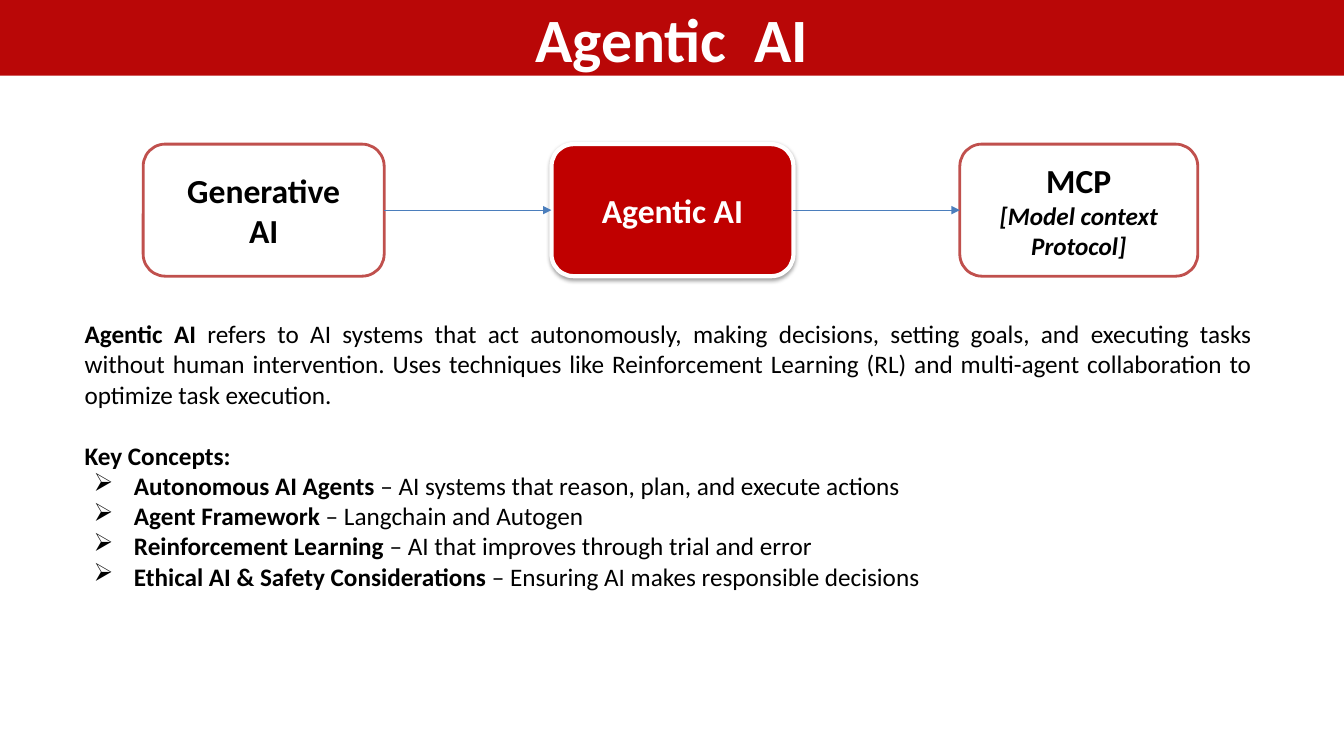
"""Build a slide that introduces Agentic AI with a three-step flow and key concepts."""
from dataclasses import dataclass

from lxml import etree
from pptx import Presentation
from pptx.dml.color import RGBColor
from pptx.enum.shapes import MSO_CONNECTOR, MSO_SHAPE
from pptx.enum.text import MSO_ANCHOR, PP_ALIGN
from pptx.oxml.ns import qn
from pptx.util import Inches, Pt

RECT, ROUND_RECT = MSO_SHAPE.RECTANGLE, MSO_SHAPE.ROUNDED_RECTANGLE
STRAIGHT = MSO_CONNECTOR.STRAIGHT
CENTER, JUSTIFY = PP_ALIGN.CENTER, PP_ALIGN.JUSTIFY
MIDDLE = MSO_ANCHOR.MIDDLE

BANNER_RED = RGBColor(0xB9, 0x07, 0x07)
BOX_RED = RGBColor(0xC0, 0x00, 0x00)
OUTLINE_RED = RGBColor(0xC0, 0x50, 0x4D)
ARROW_BLUE = RGBColor(0x4B, 0x7E, 0xBC)
WHITE = RGBColor(0xFF, 0xFF, 0xFF)
BLACK = RGBColor(0x00, 0x00, 0x00)

FONT = "Calibri"
RIGHT_SIDE, LEFT_SIDE = 3, 1
BOX_LEFT, BOX_TOP, BOX_PITCH, BOX_HEIGHT = 1.42, 1.43, 4.05, 1.31


@dataclass
class Step:
    lines: list[str]
    width: float
    note: str = ""
    active: bool = False


@dataclass
class Concept:
    name: str
    detail: str


STEPS = [
    Step(["Generative", "AI"], 2.39),
    Step(["Agentic AI"], 2.4, active=True),
    Step(["MCP"], 2.36, note="[Model context Protocol]"),
]

CONCEPTS = [
    Concept("Autonomous AI Agents", " – AI systems that reason, plan, and execute actions"),
    Concept("Agent Framework", " – Langchain and Autogen"),
    Concept("Reinforcement Learning", " – AI that improves through trial and error"),
    Concept("Ethical AI & Safety Considerations", " – Ensuring AI makes responsible decisions"),
]

DEFINITION = (
    " refers to AI systems that act autonomously, making decisions, setting goals, "
    "and executing tasks without human intervention. Uses techniques like "
    "Reinforcement Learning (RL) and multi-agent collaboration to optimize task execution."
)


def add_paragraph(tf, align):
    """Return the unused first paragraph or a new one, aligned."""
    first = tf.paragraphs[0]
    p = tf.add_paragraph() if first.runs else first
    p.alignment = align
    return p


def add_text(p, text: str, *, size: float = 18, color: RGBColor = BLACK,
             bold: bool = False, italic: bool = False) -> None:
    """Add a formatted run to a paragraph."""
    r = p.add_run()
    r.text = text
    r.font.name = FONT
    r.font.size = Pt(size)
    r.font.color.rgb = color
    r.font.bold = bold
    r.font.italic = italic


def add_bullet(p) -> None:
    """Give a paragraph an arrow bullet with a hanging indent."""
    pPr = p._p.get_or_add_pPr()
    pPr.set("marL", str(Inches(0.49)))
    pPr.set("indent", str(Inches(-0.4)))
    etree.SubElement(pPr, qn("a:buChar"), char="➢")


def add_shadow(sp) -> None:
    """Put a soft shadow below a shape."""
    effects = sp._element.spPr.find(qn("a:effectLst"))
    shadow = etree.SubElement(effects, qn("a:outerShdw"), blurRad=str(Pt(3.1)),
                              dist=str(Pt(1.6)), dir="5400000", rotWithShape="0")
    color = etree.SubElement(shadow, qn("a:srgbClr"), val=str(BLACK))
    etree.SubElement(color, qn("a:alpha"), val="38000")


def add_banner(s, width: int) -> None:
    """Draw the title banner."""
    sp = s.shapes.add_shape(RECT, 0, 0, width, Inches(0.75))
    sp.shadow.inherit = False
    sp.fill.solid()
    sp.fill.fore_color.rgb = BANNER_RED
    sp.line.fill.background()
    tf = sp.text_frame
    tf.vertical_anchor = MIDDLE
    add_text(add_paragraph(tf, CENTER), "Agentic  AI", size=44, color=WHITE, bold=True)


def add_step(s, step: Step, left: float):
    """Draw one step box and return it."""
    sp = s.shapes.add_shape(ROUND_RECT, Inches(left), Inches(BOX_TOP),
                            Inches(step.width), Inches(BOX_HEIGHT))
    sp.shadow.inherit = False
    sp.fill.solid()
    sp.fill.fore_color.rgb = BOX_RED if step.active else WHITE
    sp.line.color.rgb = WHITE if step.active else OUTLINE_RED
    sp.line.width = Pt(3 if step.active else 2)
    if step.active:
        add_shadow(sp)
    tf = sp.text_frame
    tf.word_wrap = True
    tf.vertical_anchor = MIDDLE
    color = WHITE if step.active else BLACK
    for line in step.lines:
        add_text(add_paragraph(tf, CENTER), line, size=24, color=color, bold=True)
    if step.note:
        add_text(add_paragraph(tf, CENTER), step.note, color=color, bold=True, italic=True)
    return sp


def add_arrow(s, start, end) -> None:
    """Join two boxes with an arrow."""
    cxn = s.shapes.add_connector(STRAIGHT, 0, 0, 0, 0)
    cxn.begin_connect(start, RIGHT_SIDE)
    cxn.end_connect(end, LEFT_SIDE)
    cxn.line.color.rgb = ARROW_BLUE
    cxn.line.width = Pt(0.75)
    etree.SubElement(cxn.line._get_or_add_ln(), qn("a:tailEnd"), type="triangle")
    etree.SubElement(cxn._element.spPr, qn("a:effectLst"))


def add_body(s) -> None:
    """Write the definition and the key concepts."""
    sp = s.shapes.add_textbox(Inches(0.74), Inches(3.11), Inches(11.78), Inches(2.83))
    tf = sp.text_frame
    tf.word_wrap = True
    p = add_paragraph(tf, JUSTIFY)
    add_text(p, "Agentic AI", bold=True)
    add_text(p, DEFINITION)
    p = add_paragraph(tf, JUSTIFY)
    p.space_before = Pt(22)
    add_text(p, "Key Concepts:", bold=True)
    for concept in CONCEPTS:
        p = add_paragraph(tf, JUSTIFY)
        add_bullet(p)
        add_text(p, concept.name, bold=True)
        add_text(p, concept.detail)


def main() -> None:
    """Build and save the presentation."""
    prs = Presentation()
    prs.slide_width, prs.slide_height = Inches(13.33), Inches(7.5)
    s = prs.slides.add_slide(prs.slide_layouts[6])
    add_banner(s, prs.slide_width)
    boxes = [add_step(s, step, BOX_LEFT + i * BOX_PITCH) for i, step in enumerate(STEPS)]
    for start, end in zip(boxes, boxes[1:]):
        add_arrow(s, start, end)
    add_body(s)
    prs.save("out.pptx")


if __name__ == "__main__":
    main()
